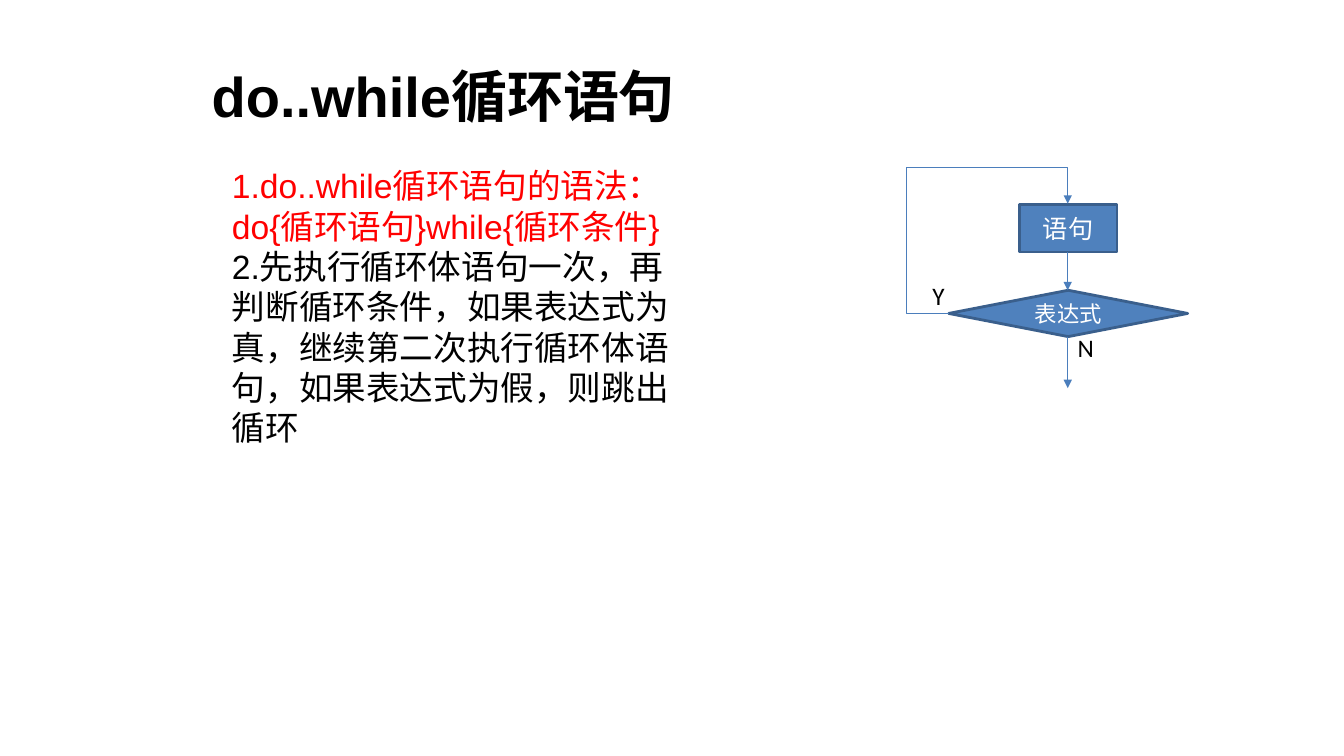
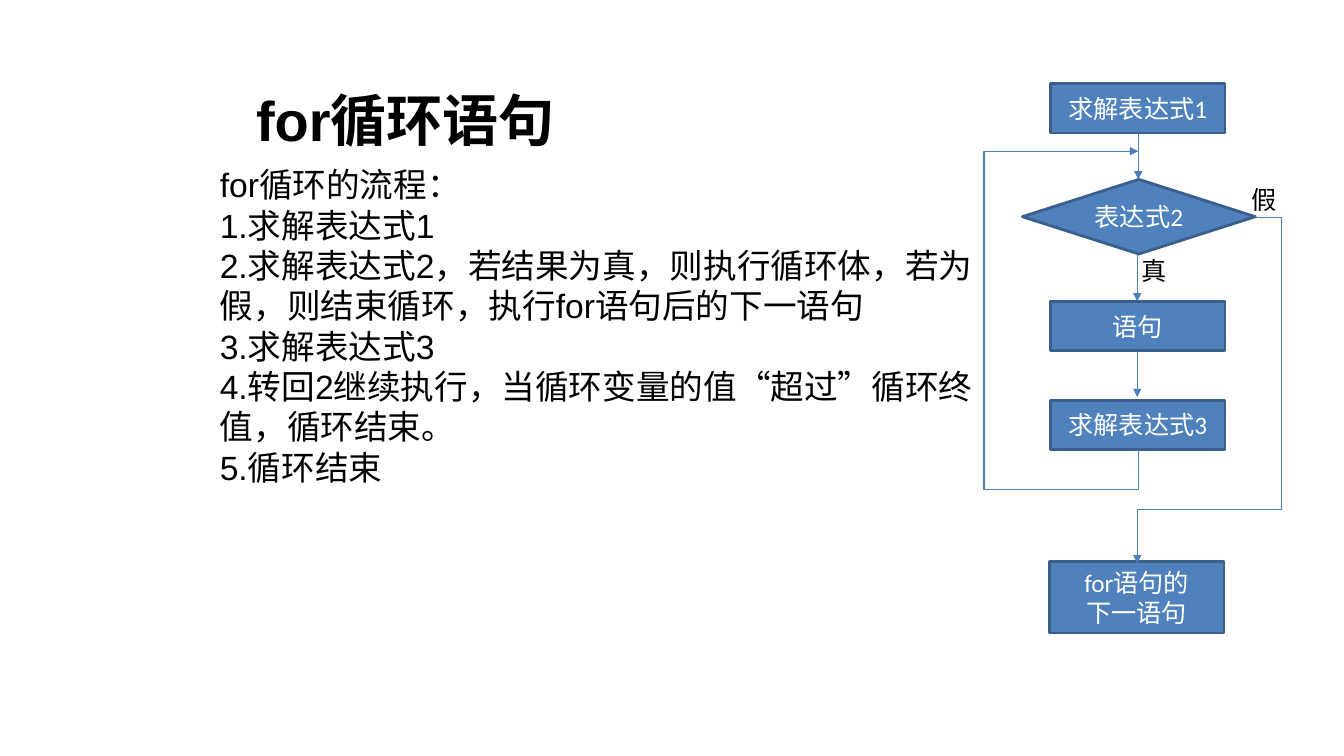
"""Build two slides that explain the do..while and for loops with flowcharts."""
from pptx import Presentation
from pptx.dml.color import RGBColor
from pptx.enum import shapes as kinds, text as texts
from pptx.oxml import ns
from pptx.util import Inches, Pt
from lxml import etree

BLACK = RGBColor(0x00, 0x00, 0x00)
WHITE = RGBColor(0xFF, 0xFF, 0xFF)
RED = RGBColor(0xFF, 0x00, 0x00)
BOX_FILL = RGBColor(0x4F, 0x81, 0xBD)
BOX_EDGE = RGBColor(0x3A, 0x5F, 0x8C)
ARROW = RGBColor(0x4B, 0x7E, 0xBC)

BOX = kinds.MSO_SHAPE.RECTANGLE
DECISION = kinds.MSO_SHAPE.FLOWCHART_DECISION
LEFT, CENTER = texts.PP_ALIGN.LEFT, texts.PP_ALIGN.CENTER
TOP, MIDDLE = texts.MSO_ANCHOR.TOP, texts.MSO_ANCHOR.MIDDLE

SLIDES = [
    {
        "title": ("do..while循环语句", (2, 0.56, 8.56, 0.77)),
        "body_at": (2.2, 1.59, 4.63, 3.33),
        "body": [
            ("1.do..while循环语句的语法：do{循环语句}while{循环条件}", RED),
            ("2.先执行循环体语句一次，再判断循环条件，如果表达式为真，"
             "继续第二次执行循环体语句，如果表达式为假，则跳出循环", BLACK),
        ],
        "nodes": [
            (DECISION, "表达式", 16, (9.41, 2.88, 2.37, 0.46)),
            (BOX, "语句", 18, (10.11, 2.03, 0.97, 0.47)),
        ],
        "routes": [
            [(10.59, 2.5), (10.59, 2.88)],
            [(10.59, 3.34), (10.59, 3.85)],
            [(9.41, 3.11), (8.99, 3.11), (8.99, 1.66), (10.59, 1.66), (10.59, 2.02)],
        ],
        "labels": [("Y", 9.15, 2.73), ("N", 10.59, 3.25)],
    },
    {
        "title": ("for循环语句", (2.44, 0.8, 8.72, 0.77)),
        "body_at": (2.08, 1.58, 7.76, 3.33),
        "body": [
            ("for循环的流程：", BLACK),
            ("1.求解表达式1", BLACK),
            ("2.求解表达式2，若结果为真，则执行循环体，若为假，"
             "则结束循环，执行for语句后的下一语句", BLACK),
            ("3.求解表达式3", BLACK),
            ("4.转回2继续执行，当循环变量的值“超过”循环终值，循环结束。", BLACK),
            ("5.循环结束", BLACK),
        ],
        "nodes": [
            (BOX, "求解表达式1", 18, (10.42, 0.83, 1.73, 0.49)),
            (DECISION, "表达式2", 18, (10.14, 1.78, 2.31, 0.74)),
            (BOX, "语句", 18, (10.42, 2.99, 1.73, 0.49)),
            (BOX, "求解表达式3", 18, (10.42, 3.97, 1.73, 0.49)),
            (BOX, "for语句的\n下一语句", 18, (10.41, 5.57, 1.73, 0.71)),
        ],
        "routes": [
            [(11.29, 1.32), (11.29, 1.78)],
            [(11.28, 2.52), (11.28, 2.99)],
            [(11.28, 3.48), (11.28, 3.94)],
            [(11.29, 4.46), (11.29, 4.86), (9.76, 4.86), (9.76, 1.5), (11.29, 1.5)],
            [(12.45, 2.16), (12.71, 2.16), (12.71, 5.06), (11.28, 5.06), (11.28, 5.59)],
        ],
        "labels": [("真", 11.22, 2.48), ("假", 12.31, 1.78)],
    },
]


def write(frame, lines, size=18, font="Calibri", bold=False, align=LEFT, anchor=TOP):
    """Fill a text frame with (text, colour) paragraphs in one format."""
    frame.word_wrap = True
    frame.auto_size = texts.MSO_AUTO_SIZE.NONE
    frame.vertical_anchor = anchor
    for index, (line, color) in enumerate(lines):
        paragraph = frame.add_paragraph() if index else frame.paragraphs[0]
        properties = paragraph._p.get_or_add_pPr()
        properties.set("marL", "0")
        properties.set("indent", "0")
        etree.SubElement(properties, ns.qn("a:buNone"))
        paragraph.alignment = align
        paragraph.space_before = Pt(0)
        run = paragraph.add_run()
        run.text = line
        run.font.name = font
        run.font.size = Pt(size)
        run.font.bold = bold
        run.font.color.rgb = color


def draw_route(slide, points):
    """Draw an arrow through the points, straight or with corners."""
    points = [(Inches(x), Inches(y)) for x, y in points]
    if len(points) == 2:
        route = slide.shapes.add_connector(
            kinds.MSO_CONNECTOR.STRAIGHT, *points[0], *points[1])
    else:
        builder = slide.shapes.build_freeform(*points[0], scale=1.0)
        builder.add_line_segments(points[1:], close=False)
        route = builder.convert_to_shape()
        route.fill.background()
    route.line.color.rgb = ARROW
    route.line.width = Pt(0.75)
    outline = route.line._get_or_add_ln()
    etree.SubElement(outline, ns.qn("a:tailEnd"), type="triangle")
    etree.SubElement(route._element.spPr, ns.qn("a:effectLst"))


presentation = Presentation()
presentation.slide_width = Inches(13.33)
presentation.slide_height = Inches(7.5)

for content in SLIDES:
    slide = presentation.slides.add_slide(presentation.slide_layouts[1])
    title, body = slide.shapes.title, slide.placeholders[1]
    heading, title_at = content["title"]
    for placeholder, place in ((title, title_at), (body, content["body_at"])):
        (placeholder.left, placeholder.top,
         placeholder.width, placeholder.height) = map(Inches, place)
    write(title.text_frame, [(heading, BLACK)], size=40, font="Arial", bold=True)
    write(body.text_frame, content["body"], size=24, font="Arial")

    for kind, label, size, place in content["nodes"]:
        node = slide.shapes.add_shape(kind, *map(Inches, place))
        node.shadow.inherit = False
        node.fill.solid()
        node.fill.fore_color.rgb = BOX_FILL
        node.line.color.rgb = BOX_EDGE
        node.line.width = Pt(2)
        write(node.text_frame, [(line, WHITE) for line in label.split("\n")],
              size=size, align=CENTER, anchor=MIDDLE)

    for points in content["routes"]:
        draw_route(slide, points)

    for label, left, top in content["labels"]:
        box = slide.shapes.add_textbox(
            Inches(left), Inches(top), Inches(0.5), Inches(0.4))
        write(box.text_frame, [(label, BLACK)])

presentation.save("out.pptx")
